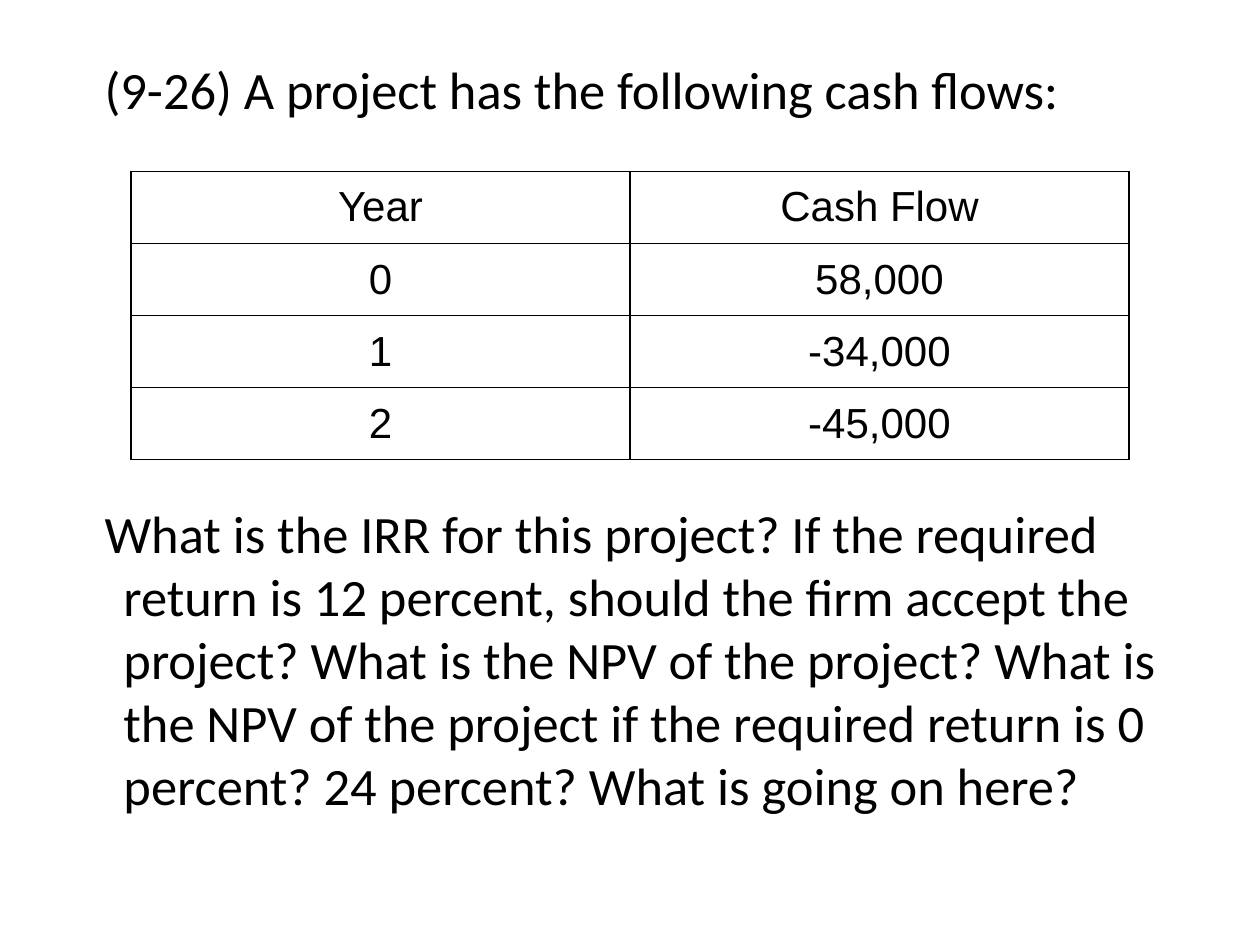
from pptx import Presentation
from pptx import util as u
from pptx.dml.color import RGBColor
from pptx.enum import text
from pptx.oxml import parse_xml
from pptx.oxml.ns import nsdecls

THEME = {
    "ink": "000000",
    "body": ("Calibri", u.Pt(30)),
    "table": ("Arial", u.Pt(24)),
    "border": u.Pt(0.75),
}
INTRO = "(9-26) A project has the following cash flows:"
QUESTION = (
    "What is the IRR for this project? If the required return is 12 percent, "
    "should the firm accept the project? What is the NPV of the project? "
    "What is the NPV of the project if the required return is 0 percent? "
    "24 percent? What is going on here?"
)
CASH_FLOWS = [
    ("Year", "Cash Flow"),
    ("0", "58,000"),
    ("1", "-34,000"),
    ("2", "-45,000"),
]


def style_runs(paragraph, role):
    for run in paragraph.runs:
        run.font.name, run.font.size = THEME[role]
        run.font.color.rgb = RGBColor.from_string(THEME["ink"])


def add_borders(cell):
    properties = cell._tc.get_or_add_tcPr()
    for position, side in enumerate(("lnL", "lnR", "lnT", "lnB")):
        properties.insert(position, parse_xml(
            f'<a:{side} {nsdecls("a")} w="{THEME["border"]}"><a:solidFill>'
            f'<a:srgbClr val="{THEME["ink"]}"/></a:solidFill></a:{side}>'))


deck = Presentation()
deck.slide_width, deck.slide_height = u.Inches(10), u.Inches(7.5)
slide = deck.slides.add_slide(deck.slide_layouts[1])
title, problem = slide.placeholders
title.element.getparent().remove(title.element)

# Problem text, with room for the table between its two paragraphs
problem.left, problem.top = u.Inches(0.5), u.Inches(0.4)
problem.width, problem.height = u.Inches(9), u.Inches(6.3)
frame = problem.text_frame
frame.text = f"{INTRO}\n{QUESTION}"
frame.auto_size = text.MSO_AUTO_SIZE.NONE
frame.vertical_anchor = text.MSO_ANCHOR.TOP
for paragraph, gap in zip(frame.paragraphs, (0, 218)):
    paragraph.space_before = u.Pt(gap)
    properties = paragraph._p.get_or_add_pPr()
    properties.set("marL", str(u.Inches(0.38)))
    properties.set("indent", str(u.Inches(-0.15)))
    properties.append(parse_xml(f'<a:buNone {nsdecls("a")}/>'))
    style_runs(paragraph, "body")

# Cash flow table, centred across the slide
row_height, column_width = u.Inches(0.57), u.Inches(3.96)
row_count, column_count = len(CASH_FLOWS), len(CASH_FLOWS[0])
table_width = column_width * column_count
table = slide.shapes.add_table(
    row_count, column_count, (deck.slide_width - table_width) // 2,
    u.Inches(1.36), table_width, row_height * row_count).table
table.first_row = table.horz_banding = False
for row, values in zip(table.rows, CASH_FLOWS):
    for cell, value in zip(row.cells, values):
        cell.text = value
        cell.fill.background()
        cell.margin_left = cell.margin_right = u.Inches(0.1)
        cell.margin_top = cell.margin_bottom = u.Inches(0.1)
        paragraph = cell.text_frame.paragraphs[0]
        paragraph.alignment = text.PP_ALIGN.CENTER
        style_runs(paragraph, "table")
        add_borders(cell)

deck.save("out.pptx")
